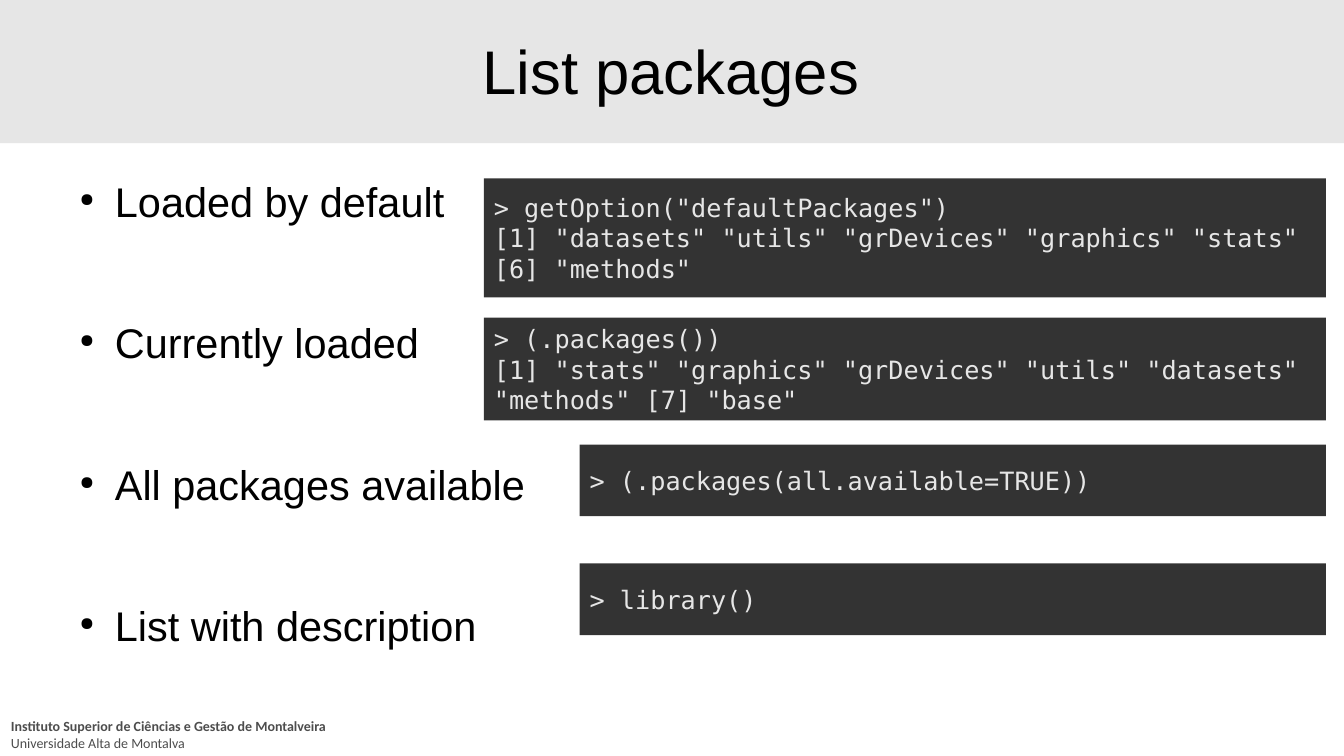
from lxml.etree import SubElement
from pptx import Presentation
from pptx.dml.color import RGBColor
from pptx.enum.shapes import MSO_SHAPE as Preset
from pptx.enum.text import MSO_ANCHOR as Anchor, PP_ALIGN as Align
from pptx.oxml.ns import qn
from pptx.util import Inches, Pt

BLACK = RGBColor(0x00, 0x00, 0x00)
LIGHT = RGBColor(0xE6, 0xE6, 0xE6)
DARK = RGBColor(0x33, 0x33, 0x33)
GREY = RGBColor(0x4D, 0x4D, 0x4D)

WIDTH, HEIGHT = 13.33, 7.5
CODE_RIGHT = 13.15
PADDING = (0.1, 0.05)

TITLE = "List packages"
TOPICS = ["Loaded by default", "Currently loaded", "All packages available", "List with description"]
FOOTER = [("Instituto Superior de Ciências e Gestão de Montalveira", True),
          ("Universidade Alta de Montalva", False)]
CODE_BLOCKS = [
    (4.8, 1.77, 1.18, ['> getOption("defaultPackages")',
                       '[1] "datasets" "utils" "grDevices" "graphics" "stats" [6] "methods"']),
    (4.8, 3.15, 1.02, ['> (.packages())',
                       '[1] "stats" "graphics" "grDevices" "utils" "datasets" "methods" [7] "base"']),
    (5.75, 4.41, 0.71, ['> (.packages(all.available=TRUE))']),
    (5.75, 5.59, 0.71, ['> library()']),
]

presentation = Presentation()
presentation.slide_width, presentation.slide_height = Inches(WIDTH), Inches(HEIGHT)
slide = presentation.slides.add_slide(presentation.slide_layouts[6])


def add_box(left, top, width, height, color):
    shape = slide.shapes.add_shape(Preset.RECTANGLE, *map(Inches, (left, top, width, height)))
    shape.shadow.inherit = False
    shape.fill.solid()
    shape.fill.fore_color.rgb = color
    shape.line.fill.background()
    return shape


def add_text_box(left, top, width, height):
    return slide.shapes.add_textbox(*map(Inches, (left, top, width, height)))


def write(shape, lines, font_name, size, color, padding=(0, 0), anchor=Anchor.TOP, align=Align.LEFT):
    frame = shape.text_frame
    frame.word_wrap = True
    frame.vertical_anchor = anchor
    frame.margin_left = frame.margin_right = Inches(padding[0])
    frame.margin_top = frame.margin_bottom = Inches(padding[1])
    frame.text = "\n".join(lines)
    for paragraph in frame.paragraphs:
        paragraph.alignment = align
        font = paragraph.font
        font.name, font.size, font.color.rgb = font_name, Pt(size), color
    return frame.paragraphs


def add_bullet(paragraph):
    properties = paragraph.font._element.getparent()
    properties.set("marL", str(Inches(0.47)))
    properties.set("indent", str(Inches(-0.35)))
    color = SubElement(properties, qn("a:buClr"))
    SubElement(color, qn("a:srgbClr"), val=str(BLACK))
    size = SubElement(properties, qn("a:buSzPct"), val="45000")
    character = SubElement(properties, qn("a:buChar"), char="●")
    for element in (color, size, character):
        paragraph.font._element.addprevious(element)


add_box(0, 0, WIDTH, 1.42, LIGHT)

footer = write(add_text_box(0.01, 7.07, 9.75, 0.43), [text for text, _ in FOOTER],
               "Calibri", 10, GREY, PADDING)
for paragraph, (_, bold) in zip(footer, FOOTER):
    paragraph.font.bold = bold

write(add_text_box(0.63, 0.13, 12.05, 1.13), [TITLE], "Arial", 44, BLACK,
      anchor=Anchor.MIDDLE, align=Align.CENTER)

for paragraph in write(add_text_box(0.67, 1.75, 12, 4.35), TOPICS, "Arial", 29.6, BLACK):
    paragraph.space_after = Pt(65.3)
    add_bullet(paragraph)

for left, top, height, lines in CODE_BLOCKS:
    box = add_box(left, top, CODE_RIGHT - left, height, DARK)
    write(box, lines, "DejaVu Sans Mono", 18, LIGHT, PADDING, Anchor.MIDDLE)

presentation.save("out.pptx")
